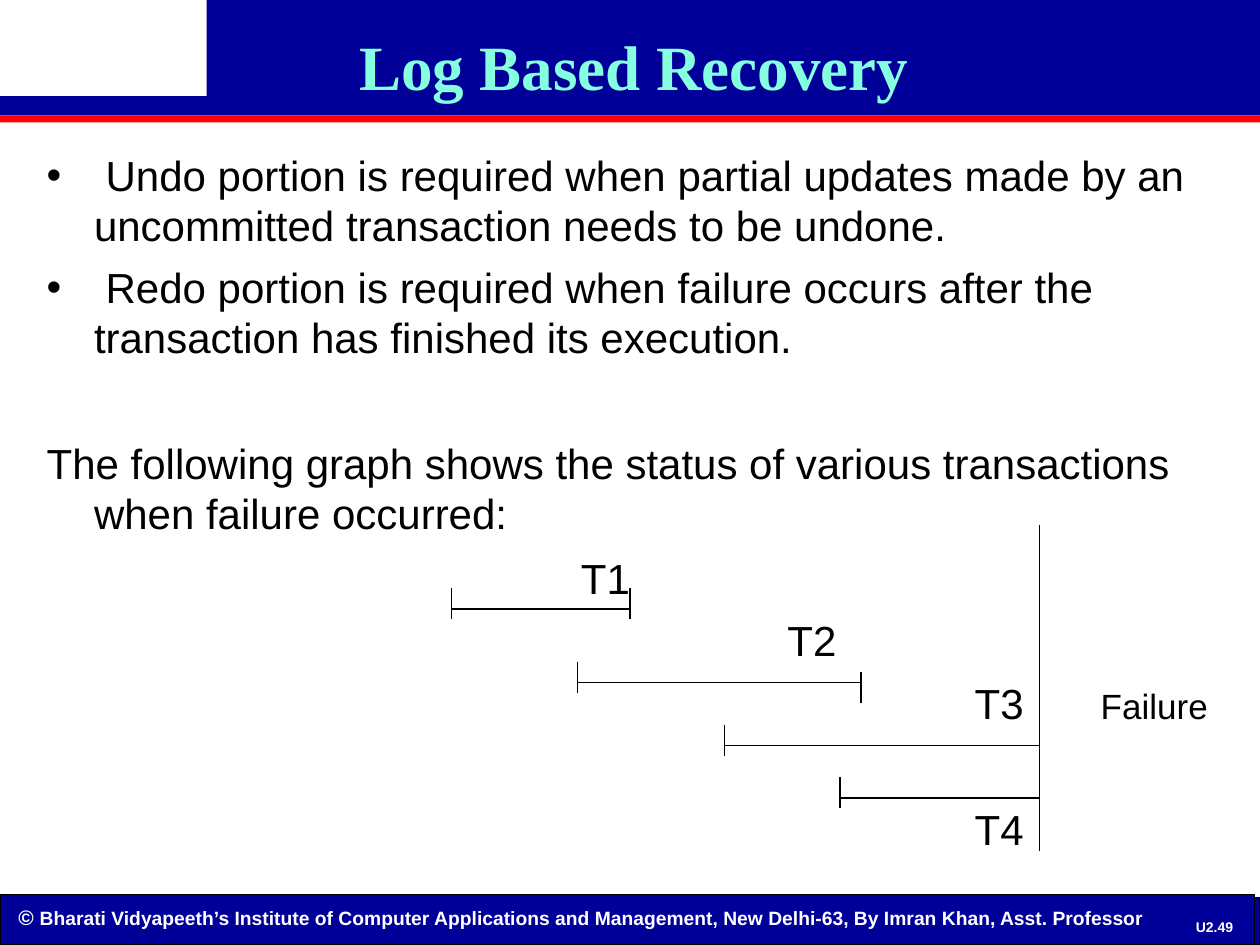
from pptx import Presentation
from pptx import util as u
from pptx.dml.color import RGBColor
from pptx.enum import shapes, text
from pptx.oxml.ns import qn
from lxml import etree

Pt = u.Pt

THEME = {
    "navy": "000099", "red": "FF0000", "aqua": "85FFE0", "black": "000000", "white": "FFFFFF",
    "body_font": "Arial", "title_font": "Times New Roman",
    "title": 36, "body": 24, "note": 20, "copyright": 12, "footer": 11, "page": 8,
    "line": 0.75, "leading": 28.6, "hang": 27,
}

TITLE = "Log Based Recovery"
BODY = [
    {"words": " Undo portion is required when partial updates made by an uncommitted transaction needs to be undone.",
     "bullet": True, "before": 0},
    {"words": " Redo portion is required when failure occurs after the transaction has finished its execution.",
     "bullet": True, "before": 7},
    {"words": "The following graph shows the status of various transactions when failure occurred:",
     "bullet": False, "before": 43},
]
OWNER = ("Bharati Vidyapeeth’s Institute of Computer Applications and Management, "
         "New Delhi-63, By Imran Khan, Asst. Professor")
PAGE = "U2.49"

BANDS = [
    (118, 0, 602, 55, "navy", False),
    (0, 55, 720, 11, "navy", False),
    (0, 66, 720, 4, "red", False),
    (0, 513, 720, 27, "navy", True),
    (0, 511, 717, 29, "navy", True),
]

FAILURE_X, FAILURE_TOP, FAILURE_BOTTOM = 594, 300, 486
TICK_ABOVE, TICK_BELOW = 12, 6
TRANSACTIONS = [
    {"name": "T1", "start": 258, "end": 360, "y": 348, "label": (332, 316), "end_tick": (-12, 6)},
    {"name": "T2", "start": 330, "end": 492, "y": 390, "label": (450, 351), "end_tick": (-6, 12)},
    {"name": "T3", "start": 414, "end": FAILURE_X, "y": 426, "label": (557, 387), "end_tick": None},
    {"name": "T4", "start": 480, "end": FAILURE_X, "y": 456, "label": (557, 459), "end_tick": None},
]


def color(name):
    return RGBColor.from_string(THEME[name])


def write(paragraph, words, size="body", font="body_font", ink="black", bold=False):
    run = paragraph.add_run()
    run.text = words
    run.font.size = Pt(THEME[size])
    run.font.name = THEME[font]
    run.font.color.rgb = color(ink)
    run.font.bold = bold


def prepare(shape, left, top, width, height, inset=(0, 0), wrap=True):
    shape.left, shape.top, shape.width, shape.height = Pt(left), Pt(top), Pt(width), Pt(height)
    frame = shape.text_frame
    frame.word_wrap = wrap
    frame.auto_size = text.MSO_AUTO_SIZE.NONE
    frame.vertical_anchor = text.MSO_ANCHOR.TOP
    frame.margin_left = frame.margin_right = Pt(inset[0])
    frame.margin_top = frame.margin_bottom = Pt(inset[1])
    return frame


def add_label(slide, box, align=text.PP_ALIGN.LEFT):
    shape = slide.shapes.add_textbox(0, 0, 0, 0)
    paragraph = prepare(shape, *box, wrap=False).paragraphs[0]
    paragraph.alignment = align
    return paragraph


def add_band(slide, left, top, width, height, fill, outlined):
    band = slide.shapes.add_shape(shapes.MSO_SHAPE.RECTANGLE, Pt(left), Pt(top), Pt(width), Pt(height))
    band.shadow.inherit = False
    band.fill.solid()
    band.fill.fore_color.rgb = color(fill)
    if outlined:
        band.line.color.rgb = color("black")
        band.line.width = Pt(THEME["line"])
    else:
        band.line.fill.background()


def add_line(slide, x1, y1, x2, y2):
    line = slide.shapes.add_connector(shapes.MSO_CONNECTOR.STRAIGHT, Pt(x1), Pt(y1), Pt(x2), Pt(y2))
    line.line.color.rgb = color("black")
    line.line.width = Pt(THEME["line"])
    etree.SubElement(line._element.spPr, qn("a:effectLst"))


def fill_body(frame):
    for index, item in enumerate(BODY):
        paragraph = frame.add_paragraph() if index else frame.paragraphs[0]
        paragraph.space_before = Pt(item["before"])
        paragraph.line_spacing = Pt(THEME["leading"])
        properties = paragraph._p.get_or_add_pPr()
        properties.set("marL", str(Pt(THEME["hang"])))
        properties.set("indent", str(-Pt(THEME["hang"])))
        if item["bullet"]:
            etree.SubElement(properties, qn("a:buChar")).set("char", "•")
        else:
            etree.SubElement(properties, qn("a:buNone"))
        write(paragraph, item["words"])


def draw_transaction(slide, name, start, end, y, label, end_tick):
    add_line(slide, start, y, end, y)
    add_line(slide, start, y - TICK_ABOVE, start, y + TICK_BELOW)
    if end_tick:
        add_line(slide, end, y + end_tick[0], end, y + end_tick[1])
    write(add_label(slide, (*label, 30, 28)), name)


def main():
    presentation = Presentation()
    presentation.slide_width, presentation.slide_height = Pt(720), Pt(540)
    slide = presentation.slides.add_slide(presentation.slide_layouts[1])
    title, body = slide.placeholders

    for band in BANDS:
        add_band(slide, *band)
    tree = slide.shapes._spTree
    for placeholder in (body, title):
        tree.remove(placeholder._element)
        tree.append(placeholder._element)

    fill_body(prepare(body, 19.5, 82, 685, 411, inset=(7.2, 3.6)))
    heading = prepare(title, 198, 12, 332, 51, inset=(7.2, 3.6), wrap=False).paragraphs[0]
    heading.alignment = text.PP_ALIGN.LEFT
    write(heading, TITLE, size="title", font="title_font", ink="aqua", bold=True)

    copyright_line = add_label(slide, (10.5, 517, 670, 16))
    write(copyright_line, "© ", size="copyright", ink="white", bold=True)
    write(copyright_line, OWNER, size="footer", ink="white", bold=True)
    page = add_label(slide, (675, 525, 38, 11), align=text.PP_ALIGN.CENTER)
    write(page, PAGE, size="page", ink="white", bold=True)

    add_line(slide, FAILURE_X, FAILURE_TOP, FAILURE_X, FAILURE_BOTTOM)
    write(add_label(slide, (629, 391, 64, 23)), "Failure", size="note")
    for transaction in TRANSACTIONS:
        draw_transaction(slide, **transaction)

    presentation.save("out.pptx")


if __name__ == "__main__":
    main()
